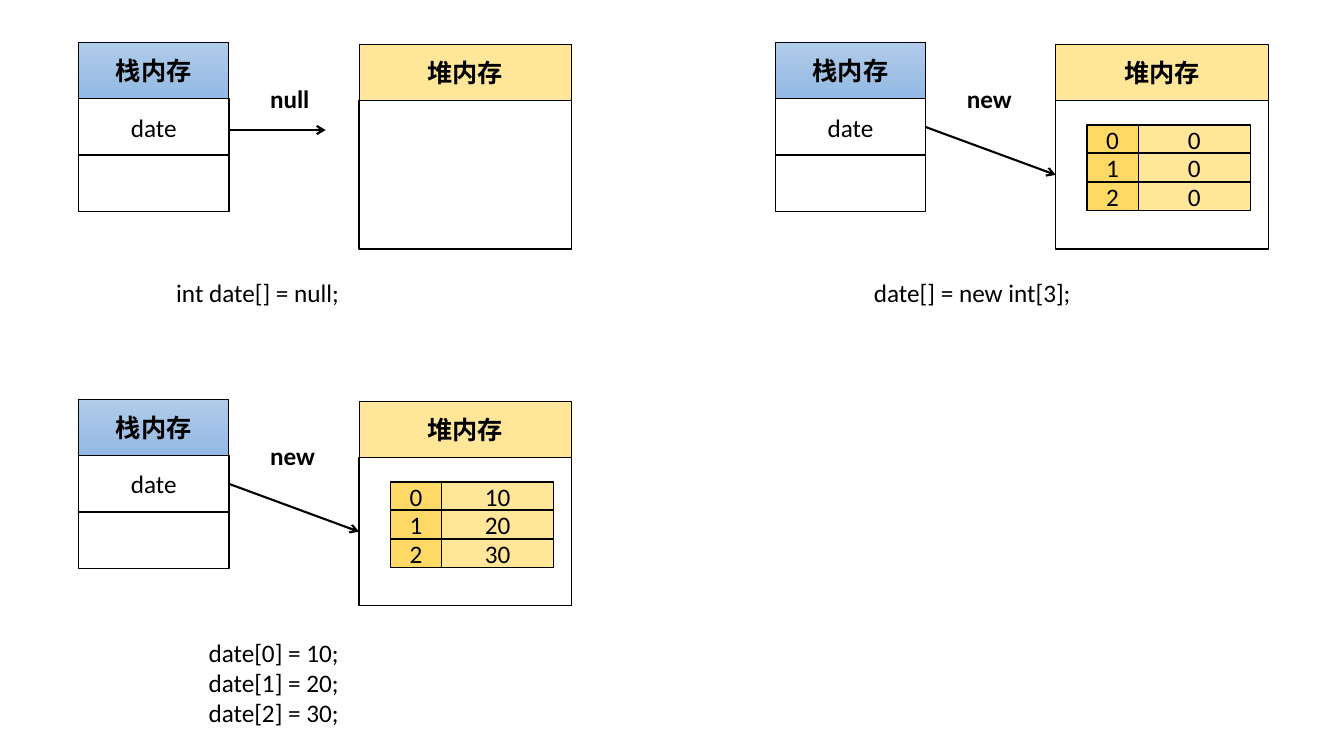
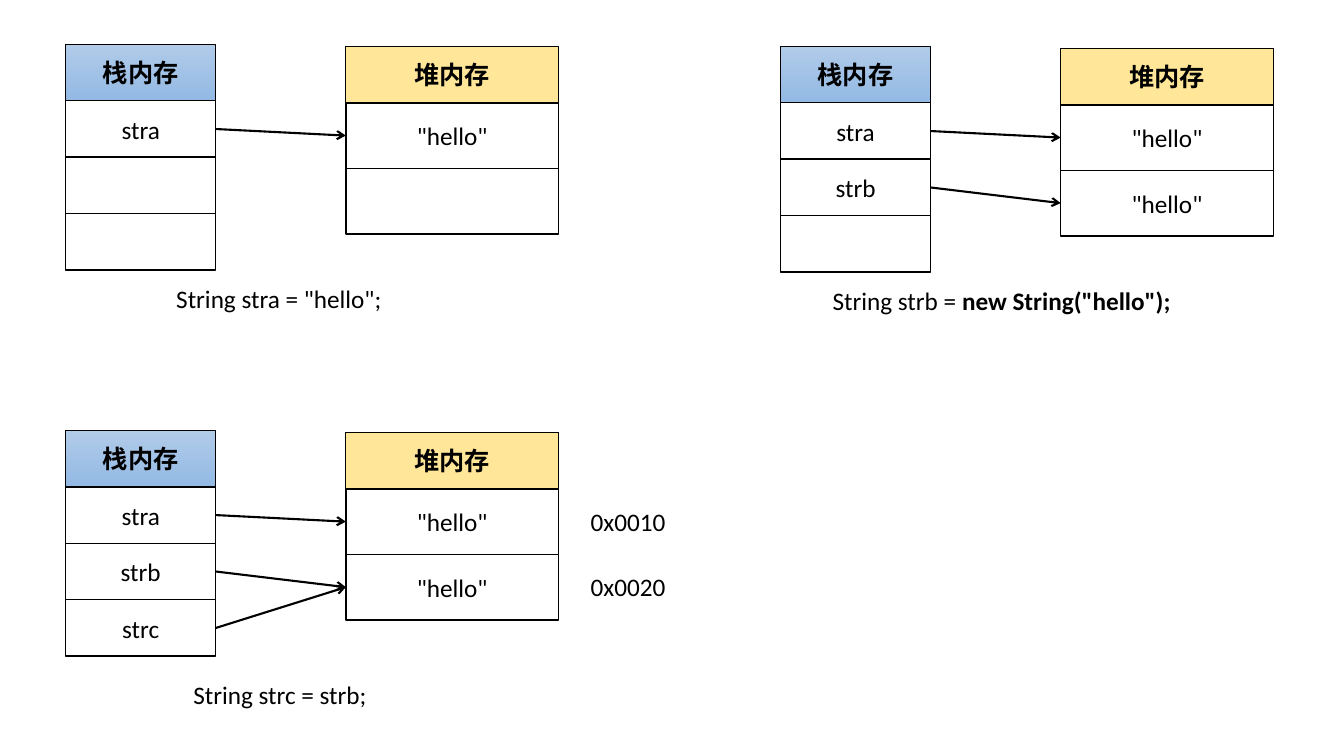
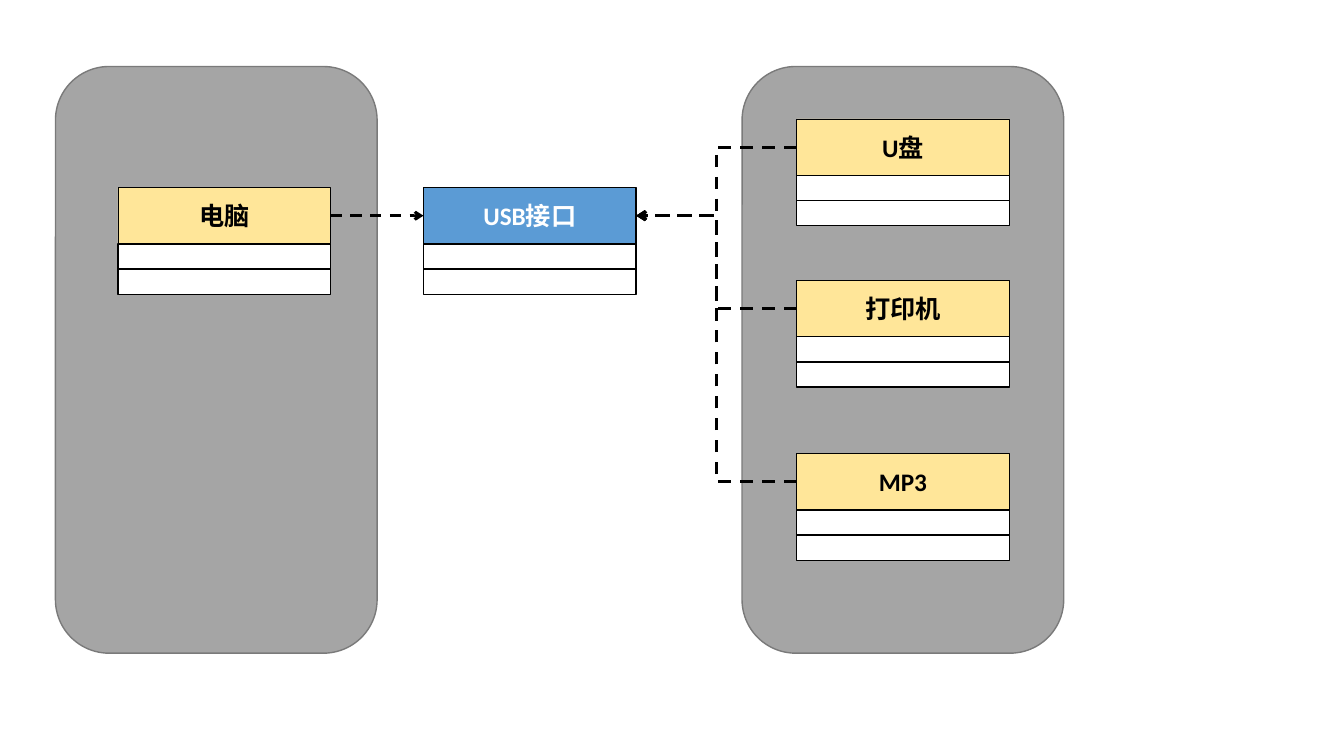
"""Three slides on stack and heap memory and a USB interface."""
from lxml import etree
from pptx import Presentation
from pptx.dml.color import RGBColor
from pptx.enum.dml import MSO_LINE
from pptx.enum.shapes import MSO_CONNECTOR, MSO_SHAPE
from pptx.enum.text import MSO_ANCHOR, MSO_AUTO_SIZE, PP_ALIGN
from pptx.oxml.ns import qn
from pptx.util import Inches, Pt

RECT, ROUNDED = MSO_SHAPE.RECTANGLE, MSO_SHAPE.ROUNDED_RECTANGLE
STRAIGHT, ELBOW = MSO_CONNECTOR.STRAIGHT, MSO_CONNECTOR.ELBOW
CENTER, MIDDLE = PP_ALIGN.CENTER, MSO_ANCHOR.MIDDLE
DASH, FIT = MSO_LINE.DASH, MSO_AUTO_SIZE.SHAPE_TO_FIT_TEXT
LEFT, RIGHT = 1, 3

FONT, SIZE = "Calibri", 18
BLACK, WHITE, GRAY, GRAY_LINE = "000000", "FFFFFF", "A5A5A5", "7A7A7A"
YELLOW, GOLD, BLUE = "FFE699", "FFD966", "5B9BD5"
SKY = ("B1CBE9", "93B9E4")

HEAD_H, STACK_W, HEAP_W, HEAP_DX, HEAP_DY = 0.56, 1.49, 2.11, 2.78, 0.02
INDEX_W, VALUE_W, ITEM_H, ARRAY_DX, ARRAY_DY = 0.51, 1.11, 0.28, 0.31, 0.24
FIELD_H, TEXT_H = 0.25, 0.4

ARRAY_PANELS = [
    {"at": (0.78, 0.42), "label": ("null", 0.59), "values": [],
     "caption": (1.65, 2.7, 1.84, ["int date[] = null;"])},
    {"at": (7.69, 0.42), "label": ("new", 0.65), "values": [0, 0, 0],
     "caption": (8.57, 2.7, 2.24, ["date[] = new int[3];"])},
    {"at": (0.78, 3.96), "label": ("new", 0.65), "values": [10, 20, 30],
     "caption": (1.97, 6.27, 1.82,
                 ["date[0] = 10;", "date[1] = 20;", "date[2] = 30;"])},
]
STRING_PANELS = [
    {"at": (0.65, 0.44), "stack": ["stra", "", ""], "heap": ['"hello"', ""],
     "links": [(0, 0)], "addresses": [],
     "caption": (1.65, 2.76, 2.26, 'String stra = "hello";', "")},
    {"at": (7.74, 0.46), "stack": ["stra", "strb", ""],
     "heap": ['"hello"', '"hello"'], "links": [(0, 0), (1, 1)], "addresses": [],
     "caption": (8.16, 2.78, 3.58, "String strb = ", 'new String("hello");')},
    {"at": (0.65, 4.27), "stack": ["stra", "strb", "strc"],
     "heap": ['"hello"', '"hello"'], "links": [(0, 0), (1, 1), (2, 1)],
     "addresses": ["0x0010", "0x0020"],
     "caption": (1.82, 6.69, 1.94, "String strc = strb;", "")},
]
GROUPS = [(7.36, 0.66, 3.19, 5.82), (0.55, 0.66, 3.19, 5.82)]
COMPUTER, USB = ("电脑", 1.17, 1.86), ("USB接口", 4.2, 1.86)
DEVICES = [("U盘", 7.9, 1.18), ("打印机", 7.9, 2.78), ("MP3", 7.9, 4.5)]


def rgb(value):
    return RGBColor.from_string(value)


def style(run, bold=False, color=BLACK):
    run.font.name, run.font.size, run.font.bold = FONT, Pt(SIZE), bold
    run.font.color.rgb = rgb(color)


def box(s, x, y, w, h, text="", fill=WHITE, line=BLACK, width=1,
        bold=False, color=BLACK, shape=RECT):
    sp = s.shapes.add_shape(shape, *map(Inches, (x, y, w, h)))
    sp.shadow.inherit = False
    if isinstance(fill, tuple):
        sp.fill.gradient()
        sp.fill.gradient_angle = 270
        for stop, shade in zip(sp.fill.gradient_stops, fill):
            stop.color.rgb = rgb(shade)
    else:
        sp.fill.solid()
        sp.fill.fore_color.rgb = rgb(fill)
    sp.line.color.rgb, sp.line.width = rgb(line), Pt(width)
    if text:
        tf = sp.text_frame
        tf.text, tf.vertical_anchor = text, MIDDLE
        p = tf.paragraphs[0]
        p.alignment = CENTER
        style(p.runs[0], bold, color)
    return sp


def write(s, x, y, w, lines, wrap=False):
    """Each line is a list of (text, bold) runs."""
    sp = s.shapes.add_textbox(*map(Inches, (x, y, w, TEXT_H)))
    tf = sp.text_frame
    tf.word_wrap, tf.auto_size = wrap, FIT
    for i, line in enumerate(lines):
        p = tf.add_paragraph() if i else tf.paragraphs[0]
        for text, bold in line:
            r = p.add_run()
            r.text = text
            style(r, bold)


def column(s, x, y, w, title, rows, row_h, fill, color=BLACK, width=0.5):
    head = box(s, x, y, w, HEAD_H, title, fill, width=width, bold=True, color=color)
    cells = [box(s, x, y + HEAD_H + i * row_h, w, row_h, text)
             for i, text in enumerate(rows)]
    return head, cells


def memory(s, x, y, stack, heap, heap_h):
    stack_cells = column(s, x, y, STACK_W, "栈内存", stack, HEAD_H, SKY)[1]
    heap_cells = column(s, x + HEAP_DX, y + HEAP_DY, HEAP_W, "堆内存",
                        heap, heap_h, YELLOW)[1]
    return stack_cells, heap_cells


def arrow(s, x1, y1, x2, y2, kind=STRAIGHT, width=1.5, dash=None):
    c = s.shapes.add_connector(kind, *map(Inches, (x1, y1, x2, y2)))
    c.line.color.rgb, c.line.width = rgb(BLACK), Pt(width)
    if dash:
        c.line.dash_style = dash
    etree.SubElement(c.line._get_or_add_ln(), qn("a:tailEnd"), type="arrow")
    etree.SubElement(c._element.spPr, qn("a:effectLst"))
    return c


def join(s, a, a_side, b, b_side, **look):
    c = arrow(s, 0, 0, 1, 1, **look)
    c.begin_connect(a, a_side)
    c.end_connect(b, b_side)


def array_slide(s):
    for panel in ARRAY_PANELS:
        x, y = panel["at"]
        stack, heap = memory(s, x, y, ["date", ""], [""], 1.47)
        left, top = x + HEAP_DX + ARRAY_DX, y + HEAP_DY + HEAD_H + ARRAY_DY
        for i, value in enumerate(panel["values"]):
            row = top + i * (ITEM_H + 0.005)
            box(s, left + INDEX_W, row, VALUE_W, ITEM_H, str(value), YELLOW)
            box(s, left, row, INDEX_W, ITEM_H, str(i), GOLD)
        if panel["values"]:
            join(s, stack[0], RIGHT, heap[0], LEFT)
        else:
            arrow(s, x + STACK_W, y + 0.87, x + 2.45, y + 0.87)
        label, label_w = panel["label"]
        write(s, x + 1.8, y + 0.36, label_w, [[(label, True)]])
        cx, cy, cw, lines = panel["caption"]
        write(s, cx, cy, cw, [[(line, False)] for line in lines], len(lines) > 1)


def string_slide(s):
    heap_h = 0.65
    for panel in STRING_PANELS:
        x, y = panel["at"]
        stack, heap = memory(s, x, y, panel["stack"], panel["heap"], heap_h)
        for a, b in panel["links"]:
            join(s, stack[a], RIGHT, heap[b], LEFT)
        for i, address in enumerate(panel["addresses"]):
            write(s, x + 5.11, y + 0.7 + i * heap_h, 0.95, [[(address, False)]])
        cx, cy, cw, plain, strong = panel["caption"]
        runs = [(plain, False), (strong, True)]
        write(s, cx, cy, cw, [[run for run in runs if run[0]]])


def usb_slide(s):
    def card(title, x, y, fill=YELLOW, **look):
        return column(s, x, y, HEAP_W, title, ["", ""], FIELD_H, fill, **look)[0]

    for group in GROUPS:
        box(s, *group, fill=GRAY, line=GRAY_LINE, shape=ROUNDED)
    computer = card(*COMPUTER)
    devices = [card(*device) for device in DEVICES]
    usb = card(*USB, fill=BLUE, color=WHITE, width=1)
    join(s, computer, RIGHT, usb, LEFT, width=2, dash=DASH)
    for device in devices:
        join(s, device, LEFT, usb, RIGHT, kind=ELBOW, width=2.25, dash=DASH)


def main():
    prs = Presentation()
    prs.slide_width, prs.slide_height = Inches(13.33), Inches(7.5)
    for build in (array_slide, string_slide, usb_slide):
        build(prs.slides.add_slide(prs.slide_layouts[6]))
    prs.save("out.pptx")


if __name__ == "__main__":
    main()
